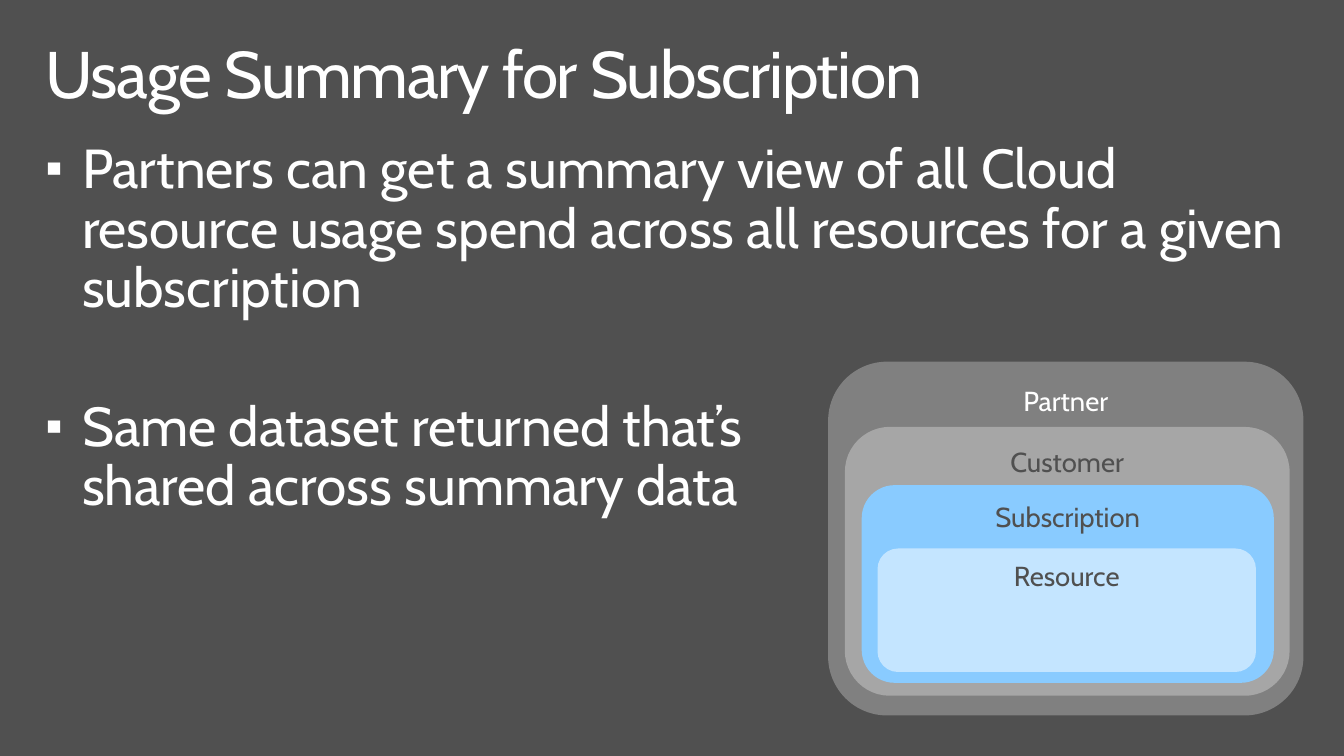
from lxml.etree import SubElement
from pptx import Presentation
from pptx.dml.color import RGBColor
from pptx.enum.shapes import MSO_SHAPE as Shape
from pptx.enum.text import MSO_ANCHOR as Anchor, MSO_AUTO_SIZE as AutoSize, PP_ALIGN as Align
from pptx.oxml.ns import qn
from pptx.util import Inches, Pt

CHARCOAL = RGBColor(0x50, 0x50, 0x50)
WHITE = RGBColor(0xFF, 0xFF, 0xFF)
GRAY = RGBColor(0x80, 0x80, 0x80)
SILVER = RGBColor(0xA6, 0xA6, 0xA6)
BLUE = RGBColor(0x89, 0xCB, 0xFF)
PALE_BLUE = RGBColor(0xC4, 0xE5, 0xFF)
FONT = "Cabin"


def place(part, box):
    part.left, part.top, part.width, part.height = map(Inches, box)


def set_frame(frame, side, edge):
    frame.word_wrap = True
    frame.auto_size = AutoSize.NONE
    frame.vertical_anchor = Anchor.TOP
    frame.margin_left = frame.margin_right = Inches(side)
    frame.margin_top = frame.margin_bottom = Inches(edge)


def write(paragraph, text, size, color=WHITE, align=Align.LEFT, line=1.0, before=0, tracking=0):
    paragraph.alignment = align
    paragraph.line_spacing = line
    paragraph.space_before = Pt(before)
    for index, words in enumerate(text.splitlines()):
        if index:
            paragraph.add_line_break()
        run = paragraph.add_run()
        run.text = words
        run.font.name = FONT
        run.font.size = Pt(size)
        run.font.color.rgb = color
        if tracking:
            run.font._element.set("spc", str(tracking * 100))


def add_bullet(paragraph):
    props = paragraph._p.get_or_add_pPr()
    props.set("marL", str(Inches(0.37)))
    props.set("indent", str(Inches(-0.37)))
    SubElement(SubElement(props, qn("a:buClr")), qn("a:srgbClr")).set("val", str(WHITE))
    SubElement(props, qn("a:buSzPct")).set("val", "90000")
    SubElement(props, qn("a:buFont")).set("typeface", "Arial")
    SubElement(props, qn("a:buChar")).set("char", "▪")


def fill_title(title, box):
    place(title, box)
    set_frame(title.text_frame, 0.16, 0.1)
    write(title.text_frame.paragraphs[0], "Usage Summary for Subscription",
          48, line=0.9, tracking=-1)


def fill_points(body, box):
    place(body, box)
    frame = body.text_frame
    set_frame(frame, 0.16, 0.1)
    points = [
        ("Partners can get a summary view of all Cloud resource usage spend "
         "across all resources for a given subscription", 0),
        ("""Same dataset returned that’s
shared across summary data""", 58),
    ]
    for index, (point, gap) in enumerate(points):
        paragraph = frame.add_paragraph() if index else frame.paragraphs[0]
        add_bullet(paragraph)
        write(paragraph, point, 40, line=0.9, before=gap)


def add_scopes(slide, box):
    left, top, width, height = box
    scopes = [
        ("Partner", GRAY, WHITE, 0, 0, 0, 0),
        ("Customer", SILVER, CHARCOAL, 0.17, 0.66, 0.14, 0.2),
        ("Subscription", BLUE, CHARCOAL, 0.34, 1.25, 0.3, 0.33),
        ("Resource", PALE_BLUE, CHARCOAL, 0.5, 1.89, 0.48, 0.44),
    ]
    nest = slide.shapes.add_group_shape()
    for label, fill, ink, inset_l, inset_t, inset_r, inset_b in scopes:
        scope = nest.shapes.add_shape(
            Shape.ROUNDED_RECTANGLE, Inches(left + inset_l), Inches(top + inset_t),
            Inches(width - inset_l - inset_r), Inches(height - inset_t - inset_b))
        scope.shadow.inherit = False
        scope.fill.solid()
        scope.fill.fore_color.rgb = fill
        scope.line.fill.background()
        set_frame(scope.text_frame, 0, 0.05)
        write(scope.text_frame.paragraphs[0], label, 20, color=ink, align=Align.CENTER)


def main():
    deck = Presentation()
    deck.slide_width, deck.slide_height = Inches(13.6), Inches(7.65)
    slide = deck.slides.add_slide(deck.slide_layouts[1])
    slide.background.fill.solid()
    slide.background.fill.fore_color.rgb = CHARCOAL
    fill_title(slide.shapes.title, (0.3, 0.32, 13, 1))
    fill_points(slide.placeholders[1], (0.3, 1.33, 13, 4.11))
    add_scopes(slide, (8.38, 3.66, 4.81, 3.58))
    deck.save("out.pptx")


if __name__ == "__main__":
    main()
